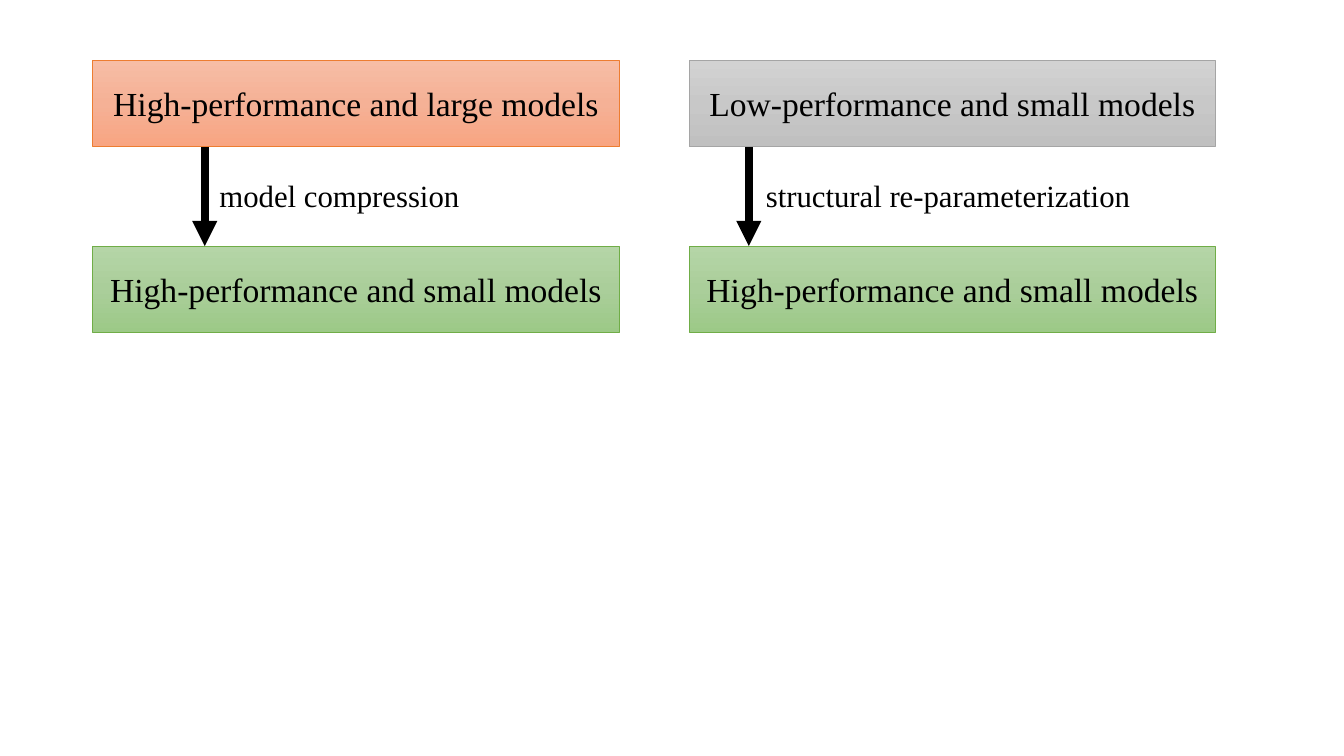
from copy import deepcopy

from pptx import Presentation
from pptx.dml.color import RGBColor
from pptx.enum.shapes import MSO_CONNECTOR as CONN, MSO_SHAPE as SHAPE
from pptx.enum.text import MSO_ANCHOR as ANCHOR, PP_ALIGN as ALIGN
from pptx.oxml.ns import qn
from pptx.util import Cm, Pt
from lxml.etree import SubElement

BLACK = RGBColor(0x00, 0x00, 0x00)
# Each style: line colour, then gradient colours from top to bottom
ORANGE = (RGBColor(0xED, 0x7D, 0x31), RGBColor(0xF7, 0xBD, 0xA5),
          RGBColor(0xF5, 0xB1, 0x96), RGBColor(0xF8, 0xA5, 0x82))
GREEN = (RGBColor(0x70, 0xAD, 0x47), RGBColor(0xB5, 0xD5, 0xA7),
         RGBColor(0xAA, 0xCE, 0x9A), RGBColor(0x9C, 0xC9, 0x87))
GRAY = (RGBColor(0xA5, 0xA5, 0xA5), RGBColor(0xD2, 0xD2, 0xD2),
        RGBColor(0xC8, 0xC8, 0xC8), RGBColor(0xC0, 0xC0, 0xC0))

# Layout in centimetres
BOX_W, BOX_H = 13.26, 2.18
TOP, BOTTOM = 1.52, 6.2
LABEL_TOP, LABEL_H = 4.34, 1.19


class Diagram:
    font = "Times New Roman"

    def __init__(self, slide):
        self.shapes = slide.shapes.add_group_shape().shapes

    def set_text(self, sp, text, size, align):
        tf = sp.text_frame
        tf.word_wrap = True
        p = tf.paragraphs[0]
        p.text = text
        p.alignment = align
        p.font.name, p.font.size = self.font, Pt(size)
        p.font.color.rgb = BLACK

    def box(self, x, y, text, style):
        line_color, *colors = style
        sp = self.shapes.add_shape(SHAPE.RECTANGLE, Cm(x), Cm(y), Cm(BOX_W), Cm(BOX_H))
        sp.shadow.inherit = False
        sp.line.color.rgb = line_color
        sp.line.width = Pt(0.5)
        # Three evenly spaced stops, running downwards
        sp.fill.gradient()
        sp.fill.gradient_angle = 270
        stops = sp._element.spPr.find(".//" + qn("a:gsLst"))
        stops.insert(1, deepcopy(stops[0]))
        for i, (stop, color) in enumerate(zip(sp.fill.gradient_stops, colors)):
            stop.position = i / 2
            stop.color.rgb = color
        sp.text_frame.vertical_anchor = ANCHOR.MIDDLE
        self.set_text(sp, text, 24, ALIGN.CENTER)

    def arrow(self, x, y1, y2):
        c = self.shapes.add_connector(CONN.STRAIGHT, Cm(x), Cm(y1), Cm(x), Cm(y2))
        c.line.color.rgb = BLACK
        c.line.width = Pt(6)
        ln = c._element.spPr.find(qn("a:ln"))
        SubElement(ln, qn("a:tailEnd"), type="triangle")
        SubElement(c._element.spPr, qn("a:effectLst"))

    def label(self, x, w, text):
        sp = self.shapes.add_textbox(Cm(x), Cm(LABEL_TOP), Cm(w), Cm(LABEL_H))
        self.set_text(sp, text, 22, ALIGN.LEFT)


def main():
    prs = Presentation()
    prs.slide_width, prs.slide_height = Cm(33.87), Cm(19.05)
    diagram = Diagram(prs.slides.add_slide(prs.slide_layouts[6]))

    # Columns: box left, start text and style, arrow x, label left, width and text
    columns = [
        (2.34, "High-performance and large models", ORANGE,
         5.16, 5.28, 7.42, "model compression"),
        (17.37, "Low-performance and small models", GRAY,
         18.87, 19.05, 9.93, "structural re-parameterization"),
    ]
    for x, start, style, arrow_x, label_x, label_w, method in columns:
        diagram.box(x, TOP, start, style)
        diagram.box(x, BOTTOM, "High-performance and small models", GREEN)
        diagram.arrow(arrow_x, TOP + BOX_H, BOTTOM)
        diagram.label(label_x, label_w, method)

    prs.save("out.pptx")


if __name__ == "__main__":
    main()
